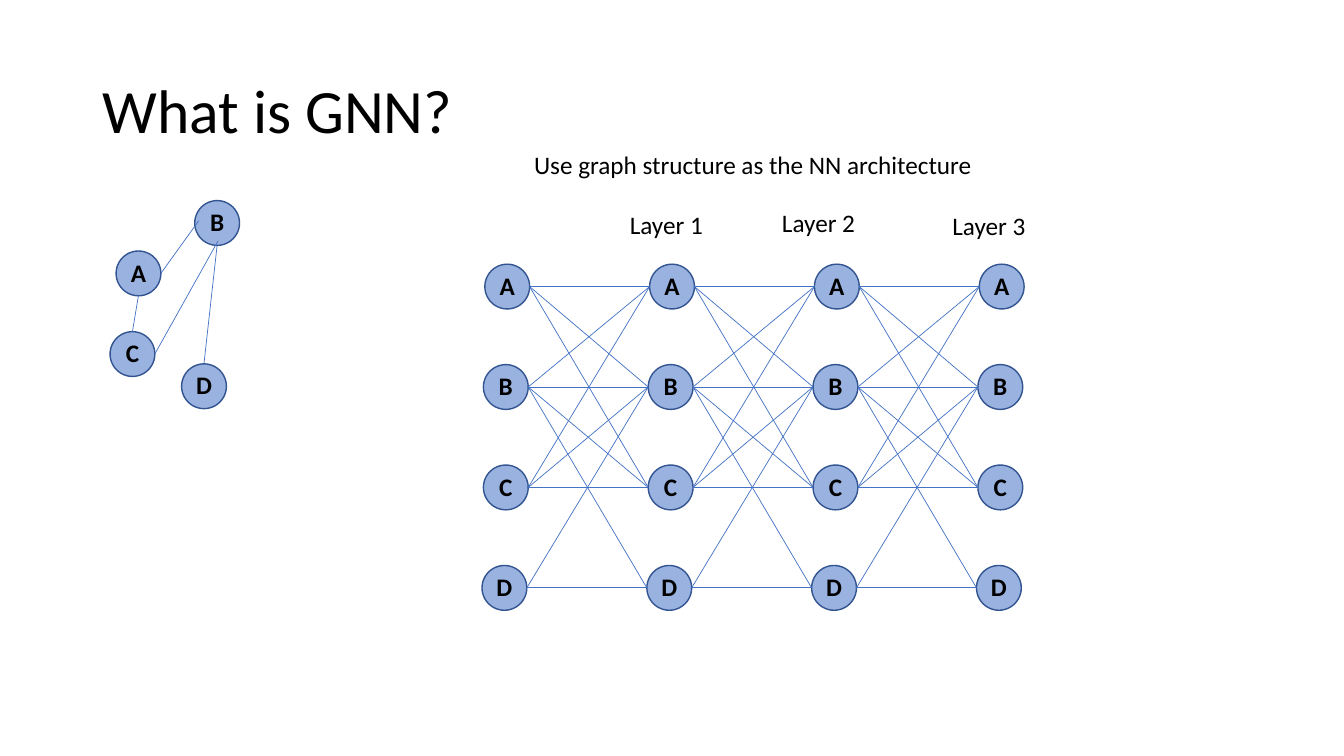
from collections import namedtuple
from dataclasses import dataclass

from lxml import etree
from pptx import Presentation
from pptx.dml.color import RGBColor
from pptx.enum import shapes, text
from pptx.oxml import ns
from pptx.util import Pt

Box = namedtuple("Box", "left top width height")


@dataclass(frozen=True)
class Theme:
    ink: RGBColor = RGBColor(0x00, 0x00, 0x00)
    accent: RGBColor = RGBColor(0x44, 0x72, 0xC4)
    outline: RGBColor = RGBColor(0x32, 0x54, 0x91)
    node_opacity: int = 54
    font: str = "Calibri"
    title_size: int = 44
    body_size: int = 18


THEME = Theme()
NODE_SIZE = 32
LABEL_HEIGHT = 29

# Points on a node, as fractions of its width and height
TOP, LEFT, BOTTOM, RIGHT = (0.5, 0), (0, 0.5), (0.5, 1), (1, 0.5)
INNER_LEFT, INNER_BOTTOM = (0.09, 0.45), (0.52, 0.9)

GRAPH_NODES = {"A": (4.3, 36), "C": (0, 93.6), "D": (51.1, 116.6), "B": (60.5, 0)}
GRAPH_LINKS = [
    ("A", BOTTOM, "C", TOP),
    ("A", RIGHT, "B", INNER_LEFT),
    ("B", INNER_BOTTOM, "C", RIGHT),
    ("B", BOTTOM, "D", TOP),
]
NEIGHBOURS = {"A": "ABC", "B": "ABCD", "C": "ABC", "D": "BD"}
ROW_SHIFTS = {"A": 0, "B": -1, "C": -1, "D": -2}
LAYER_LABELS = {"Layer 1": (98.2, 1.5), "Layer 2": (206.9, 0), "Layer 3": (328.6, 2.2)}


def write(frame, words, size=THEME.body_size, bold=False,
          align=text.PP_ALIGN.LEFT, anchor=text.MSO_ANCHOR.TOP, spacing=None):
    frame.word_wrap = True
    frame.auto_size = text.MSO_AUTO_SIZE.NONE
    frame.vertical_anchor = anchor
    para = frame.paragraphs[0]
    para.alignment = align
    para.line_spacing = spacing
    span = para.add_run()
    span.text = words
    span.font.name = THEME.font
    span.font.size = Pt(size)
    span.font.bold = bold
    span.font.color.rgb = THEME.ink


def add_label(page, words, box):
    label = page.shapes.add_textbox(*map(Pt, box))
    write(label.text_frame, words)


def add_node(page, letter, left, top):
    """Draw a lettered circle and return its box."""
    box = Box(left, top, NODE_SIZE, NODE_SIZE)
    node = page.shapes.add_shape(shapes.MSO_SHAPE.OVAL, *map(Pt, box))
    node.shadow.inherit = False
    node.fill.solid()
    node.fill.fore_color.rgb = THEME.accent
    color = node.fill._xPr.find(".//" + ns.qn("a:srgbClr"))
    etree.SubElement(color, ns.qn("a:alpha"), val=str(THEME.node_opacity * 1000))
    node.line.color.rgb = THEME.outline
    node.line.width = Pt(1)
    frame = node.text_frame
    frame.margin_left = frame.margin_right = frame.margin_top = 0
    frame.margin_bottom = Pt(2)
    write(frame, letter, bold=True, align=text.PP_ALIGN.CENTER,
          anchor=text.MSO_ANCHOR.MIDDLE)
    return box


def add_link(page, start, start_port, end, end_port):
    """Join a port of one node box to a port of another."""
    ends = [
        Pt(value)
        for box, (across, down) in ((start, start_port), (end, end_port))
        for value in (box.left + across * box.width, box.top + down * box.height)
    ]
    link = page.shapes.add_connector(shapes.MSO_CONNECTOR.STRAIGHT, *ends)
    link.line.color.rgb = THEME.accent
    link.line.width = Pt(0.5)
    etree.SubElement(link._element.spPr, ns.qn("a:effectLst"))


def add_title(page, words, box):
    title = page.shapes.title
    title.left, title.top, title.width, title.height = map(Pt, box)
    write(title.text_frame, words, size=THEME.title_size,
          anchor=text.MSO_ANCHOR.MIDDLE, spacing=0.9)


def add_graph(page, box):
    nodes = {
        letter: add_node(page, letter, box.left + across, box.top + down)
        for letter, (across, down) in GRAPH_NODES.items()
    }
    for start, start_port, end, end_port in GRAPH_LINKS:
        add_link(page, nodes[start], start_port, nodes[end], end_port)


def add_network(page, box, columns=4):
    """Repeat the graph's nodes as layers, linking each to its neighbours."""
    column_step = (box.width - NODE_SIZE) / (columns - 1)
    row_step = (box.height - NODE_SIZE) / (len(NEIGHBOURS) - 1)
    previous = None
    for column in range(columns):
        layer = {
            letter: add_node(page, letter,
                             box.left + column * column_step + ROW_SHIFTS[letter],
                             box.top + row * row_step)
            for row, letter in enumerate(NEIGHBOURS)
        }
        if previous:
            for start, ends in NEIGHBOURS.items():
                for end in ends:
                    add_link(page, previous[start], RIGHT, layer[end], LEFT)
        previous = layer


def add_headings(page, box):
    """Place the caption across the box and the layer labels below it."""
    add_label(page, "Use graph structure as the NN architecture",
              Box(box.left + 29.8, box.top, 352.8, LABEL_HEIGHT))
    for words, (across, down) in LAYER_LABELS.items():
        add_label(page, words, Box(box.left + across, box.top + 41.7 + down,
                                   93.6, LABEL_HEIGHT))


def main():
    deck = Presentation()
    deck.slide_width, deck.slide_height = Pt(960), Pt(540)
    page = deck.slides.add_slide(deck.slide_layouts.get_by_name("Title Only"))
    add_title(page, "What is GNN?", Box(66.2, 28.8, 828, 104.4))
    add_graph(page, Box(78.6, 143.3, 92.5, 148.6))
    add_network(page, Box(346.3, 188.7, 385.2, 247.2))
    add_headings(page, Box(344.6, 103, 422, 73))
    deck.save("out.pptx")


if __name__ == "__main__":
    main()
